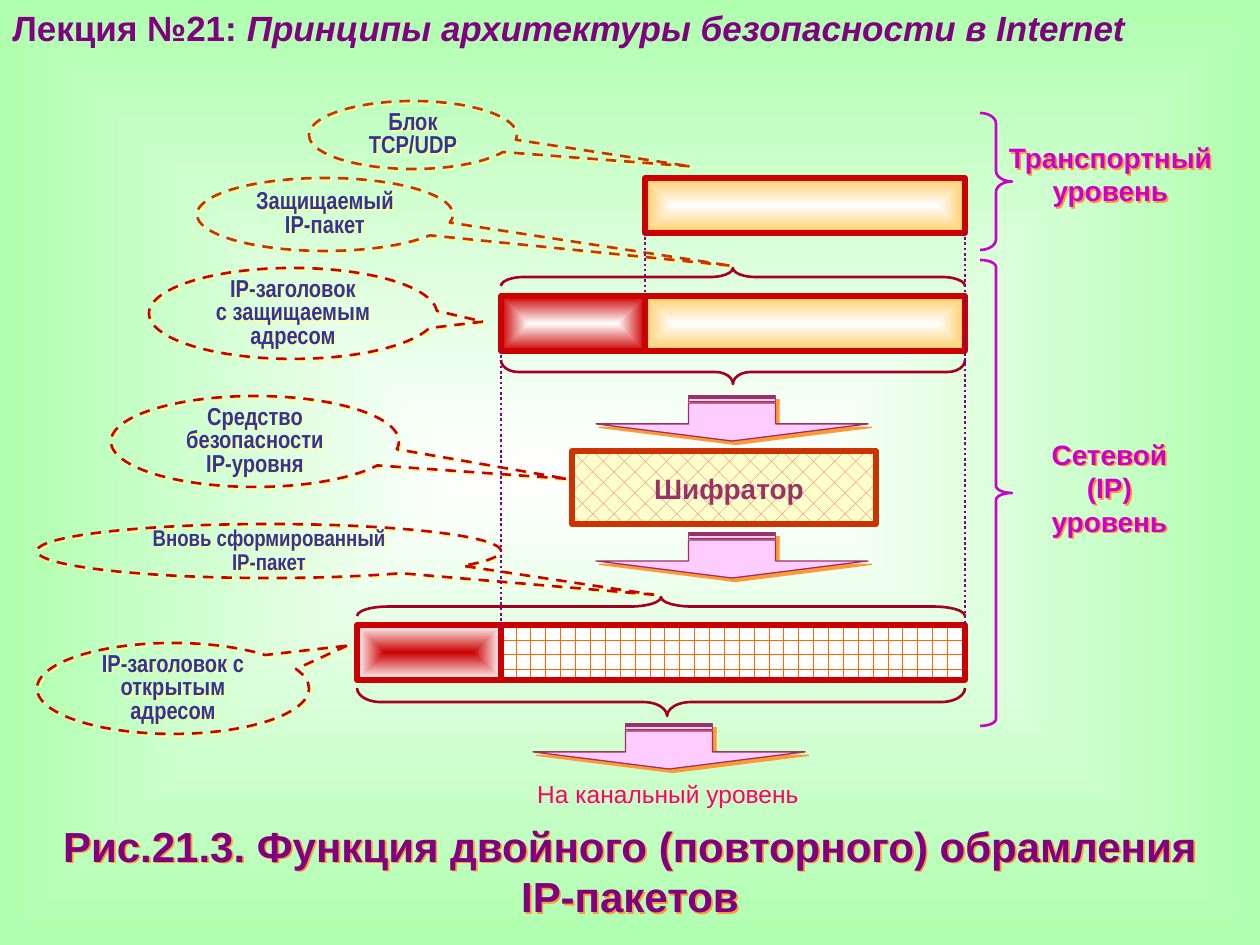
from dataclasses import dataclass

from lxml.etree import SubElement
from pptx import Presentation
from pptx.dml.color import RGBColor
from pptx.enum.dml import MSO_LINE, MSO_PATTERN
from pptx.enum.shapes import MSO_CONNECTOR, MSO_SHAPE
from pptx.enum.text import MSO_ANCHOR, PP_ALIGN
from pptx.oxml.ns import qn
from pptx.util import Emu, Pt


@dataclass(frozen=True)
class Theme:
    font: str = "Arial"
    narrow: str = "Arial Narrow"
    white: str = "FFFFFF"
    mint: str = "AFFFAF"
    purple: str = "800080"
    navy: str = "333399"
    red: str = "CC0000"
    rust: str = "CC3300"
    maroon: str = "A50021"
    plum: str = "993366"
    pink: str = "FFCCFF"
    magenta: str = "CC00CC"
    rose: str = "FF0066"
    gold: str = "FFCC66"
    cream: str = "FFFFCC"
    coral: str = "FF5050"
    orange: str = "FF6600"
    glow: str = "FFFF99"
    shade: str = "FF9933"
    caption: int = 24
    header: int = 20
    label: int = 16
    body: int = 14
    small: int = 13


T = Theme()
X0, X1, X2, X3 = 357, 501, 645, 965
ROW_H = 55
ROWS = (178, 296, 625)

HEADER = ("Лекция №21: ", "Принципы архитектуры безопасности в Internet")
CALLOUTS = [
    ((309, 101, 208, 68), (1.33, 0.46), T.rust, T.body, 0.8, ["Блок", "ТСР/UDP"]),
    ((197, 178, 256, 73), (1.58, 0.7), T.rust, T.body, 0.8, ["Защищаемый", "IP-пакет"]),
    ((149, 268, 288, 91), (0.66, 0.09), T.red, T.body, 0.8,
     ["IP-заголовок", "с защищаемым адресом"]),
    ((111, 396, 288, 91), (1.08, 0.41), T.red, T.body, 0.8,
     ["Средство безопасности", "IP-уровня"]),
    ((37, 524, 464, 54), (0.83, 0.81), T.red, T.small, 0.9,
     ["Вновь сформированный", "IP-пакет"]),
    ((37, 643, 272, 91), (0.64, -0.47), T.red, T.body, 0.8,
     ["IP-заголовок с открытым адресом"]),
]
BLOCKS = [
    (X2, X3, ROWS[0], T.white, T.gold),
    (X2, X3, ROWS[1], T.white, T.gold),
    (X1, X2, ROWS[1], T.white, T.red),
    (X0, X1, ROWS[2], T.red, T.white),
]
PATTERNS = [
    ((X1, ROWS[2], X3 - X1, ROW_H), MSO_PATTERN.HORIZONTAL_BRICK, T.orange, T.white, T.red),
    ((572, 451, 304, 73), MSO_PATTERN.DIAGONAL_BRICK, T.coral, T.cream, T.rust),
]
ARROWS = [(732, 396), (732, 533), (669, 724)]
ROW_BRACES = [
    (MSO_SHAPE.RIGHT_BRACE, X1, 268, 18, 1.27, 0.5),
    (MSO_SHAPE.LEFT_BRACE, X1, 360, 24, 0.73, 0.5),
    (MSO_SHAPE.RIGHT_BRACE, X0, 597, 19, 1.64, 0.5),
    (MSO_SHAPE.LEFT_BRACE, X0, 688, 28, 0.85, 0.51),
]
LEVEL_BRACES = [(113, 137, 0.33), (260, 466, 0.22)]
GUIDES = [(X2, 232, 296), (X3, 232, 627), (X1, 350, 634)]
LABELS = [
    ((635, 474, 188, 28), ["Шифратор"], T.plum, T.label, True, None),
    ((460, 777, 416, 34), ["На канальный уровень"], T.rose, T.body, False, None),
    ((997, 122, 227, 104), ["Транспортный", "уровень"], T.magenta, T.label, True, T.shade),
    ((1028, 442, 163, 91), ["Сетевой (IP) уровень"], T.magenta, T.label, True, T.shade),
    ((0, 820, 1260, 101),
     ["Рис.21.3. Функция двойного (повторного) обрамления", "IP-пакетов"],
     T.purple, T.caption, True, T.shade),
]


def px(n):
    return Emu(round(n * 914400 / 126))


def rgb(value):
    return RGBColor.from_string(value)


def set_gradient(fill, element, inner, outer):
    fill.gradient()
    for stop, color in zip(fill.gradient_stops, (inner, outer)):
        stop.color.rgb = rgb(color)
    grad = element.find(".//" + qn("a:gradFill"))
    grad.remove(grad.find(qn("a:lin")))
    path = SubElement(grad, qn("a:path"), path="shape")
    SubElement(path, qn("a:fillToRect"), l="50000", t="50000", r="50000", b="50000")


def set_line(line, color, width, dash=None):
    line.color.rgb = rgb(color)
    line.width = Pt(width)
    if dash:
        line.dash_style = dash


def set_shadow(sp, color, distance):
    effects = sp._element.spPr.find(qn("a:effectLst"))
    shadow = SubElement(effects, qn("a:outerShdw"), dist=str(Pt(distance)),
                        dir="2700000", algn="ctr", rotWithShape="0")
    SubElement(shadow, qn("a:srgbClr"), val=color)


def add_shape(s, kind, box, line, width, dash=None, adjust=()):
    sp = s.shapes.add_shape(kind, *map(px, box))
    sp.fill.background()
    sp.shadow.inherit = False
    set_line(sp.line, line, width, dash)
    for i, value in enumerate(adjust):
        sp.adjustments[i] = value
    return sp


def add_turned(s, kind, box, rotation, line, width, adjust):
    x, y, w, h = box
    turned = (x + (w - h) / 2, y + (h - w) / 2, h, w)
    sp = add_shape(s, kind, turned, line, width, adjust=adjust)
    sp.rotation = rotation
    return sp


def write(tf, lines, font, size, color, bold=True, spacing=None):
    tf.word_wrap = True
    tf.vertical_anchor = MSO_ANCHOR.MIDDLE
    tf.margin_left = tf.margin_right = tf.margin_top = tf.margin_bottom = 0
    for i, line in enumerate(lines):
        p = tf.paragraphs[0] if i == 0 else tf.add_paragraph()
        p.add_run().text = line
        p.alignment = PP_ALIGN.CENTER
        p.line_spacing = spacing
        p.font.name, p.font.size, p.font.bold = font, Pt(size), bold
        p.font.color.rgb = rgb(color)


def add_header(s):
    tf = s.shapes.add_textbox(0, 0, px(1260), px(54)).text_frame
    tf.word_wrap = True
    p = tf.paragraphs[0]
    p.font.name, p.font.size, p.font.bold = T.font, Pt(T.header), True
    p.font.color.rgb = rgb(T.purple)
    for text, italic in zip(HEADER, (False, True)):
        r = p.add_run()
        r.text = text
        r.font.italic = italic


def main():
    prs = Presentation()
    prs.slide_width, prs.slide_height = px(1260), px(945)
    s = prs.slides.add_slide(prs.slide_layouts[6])
    set_gradient(s.background.fill, s._element, T.white, T.mint)
    add_header(s)

    for box, tip, color, size, spacing, lines in CALLOUTS:
        sp = add_shape(s, MSO_SHAPE.OVAL_CALLOUT, box, color, 1.5, MSO_LINE.DASH, tip)
        set_shadow(sp, T.glow, 1.4)
        write(sp.text_frame, lines, T.narrow, size, T.navy, spacing=spacing)

    for center, top in ARROWS:
        sp = add_turned(s, MSO_SHAPE.STRIPED_RIGHT_ARROW, (center - 136, top, 272, 45),
                        90, T.plum, 0.75, (0.32, 0.38))
        sp.fill.solid()
        sp.fill.fore_color.rgb = rgb(T.pink)
        set_shadow(sp, T.shade, 2.8)

    for box, pattern, fore, back, line in PATTERNS:
        sp = add_shape(s, MSO_SHAPE.RECTANGLE, box, line, 3)
        sp.fill.patterned()
        sp.fill.pattern = pattern
        sp.fill.fore_color.rgb = rgb(fore)
        sp.fill.back_color.rgb = rgb(back)

    for left, right, top, inner, outer in BLOCKS:
        sp = add_shape(s, MSO_SHAPE.RECTANGLE, (left, top, right - left, ROW_H), T.red, 3)
        set_gradient(sp.fill, sp._element, inner, outer)

    for kind, left, top, height, curve, tip in ROW_BRACES:
        add_turned(s, kind, (left, top, X3 - left, height), 270, T.maroon, 1.5, (curve, tip))
    for top, height, curve in LEVEL_BRACES:
        add_shape(s, MSO_SHAPE.RIGHT_BRACE, (980, top, 32, height), T.magenta, 1.5,
                  adjust=(curve, 0.5))

    for x, top, bottom in GUIDES:
        guide = s.shapes.add_connector(MSO_CONNECTOR.STRAIGHT, px(x), px(top), px(x), px(bottom))
        set_line(guide.line, T.purple, 1.5, MSO_LINE.ROUND_DOT)
        SubElement(guide._element.spPr, qn("a:effectLst"))

    for box, lines, color, size, bold, shade in LABELS:
        sp = s.shapes.add_textbox(*map(px, box))
        write(sp.text_frame, lines, T.font, size, color, bold)
        if shade:
            sp.shadow.inherit = False
            set_shadow(sp, shade, 1.4)

    prs.save("out.pptx")


if __name__ == "__main__":
    main()
